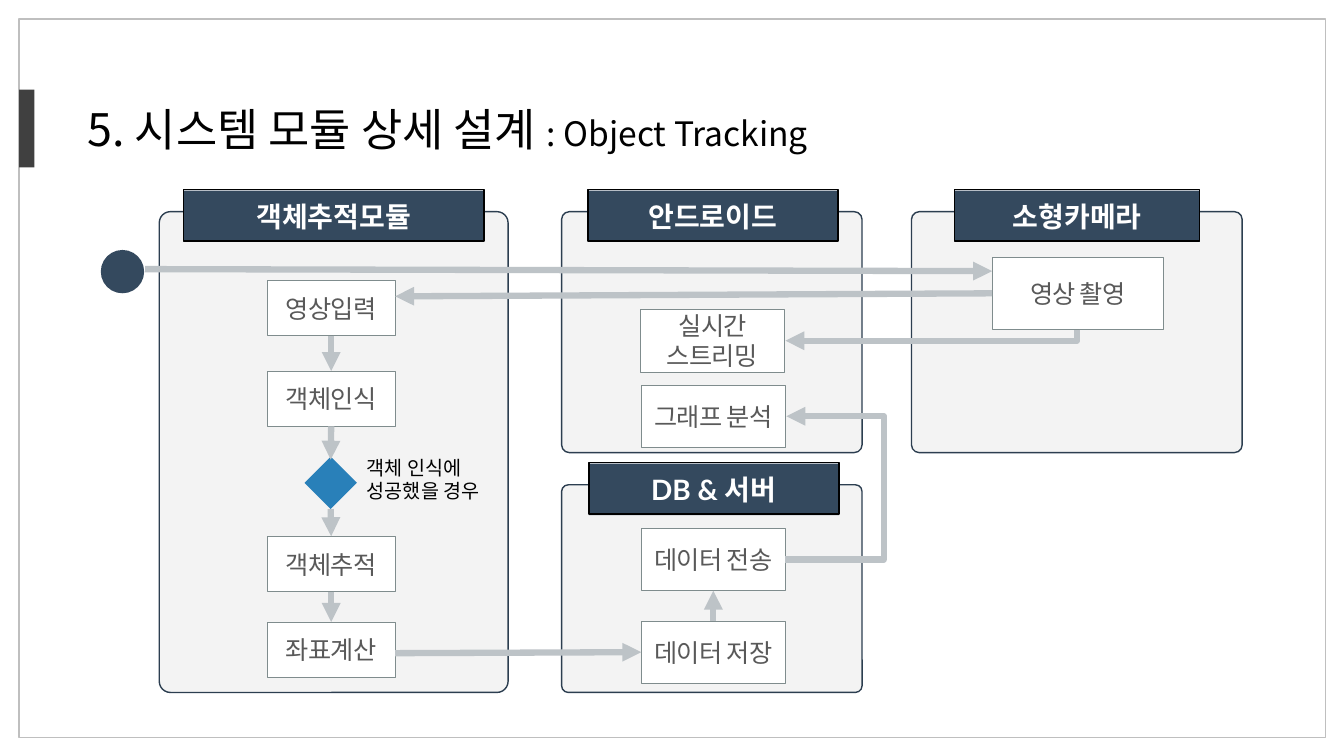
from lxml import etree
from pptx import Presentation
from pptx import util as u
from pptx.dml.color import RGBColor
from pptx.enum import shapes, text
from pptx.oxml.ns import qn

PX = 9144
SANS, LATO = "Noto Sans CJK KR", "Lato"
WHITE = RGBColor(0xFF, 0xFF, 0xFF)
BLACK = RGBColor(0x00, 0x00, 0x00)
FRAME = RGBColor(0xBF, 0xBF, 0xBF)
ACCENT = RGBColor(0x40, 0x40, 0x40)
PANEL = RGBColor(0xD9, 0xD9, 0xD9)
PANEL_LINE = RGBColor(0x2C, 0x3E, 0x50)
NAVY = RGBColor(0x34, 0x49, 0x5E)
BLUE = RGBColor(0x29, 0x80, 0xB9)
ARROW = RGBColor(0xBD, 0xC3, 0xC7)
BOX_LINE = RGBColor(0x7F, 0x8C, 0x8D)
BOX_TEXT = RGBColor(0x59, 0x59, 0x59)
SHAPE = shapes.MSO_SHAPE
LINE = shapes.MSO_CONNECTOR


def px(*values):
    return [u.Emu(v * PX) for v in values]


def add_run(p, words, size, color, font=SANS, bold=False, spacing=0):
    r = p.add_run()
    r.text = words
    r.font.size, r.font.name, r.font.bold = u.Pt(size), font, bold
    r.font.color.rgb = color
    rPr = r._r.get_or_add_rPr()
    etree.SubElement(rPr, qn("a:ea")).set("typeface", SANS)
    if spacing:
        rPr.set("spc", str(spacing))


def add_shape(parent, kind, at, fill=None, line=None, weight=1):
    sp = parent.add_shape(kind, *px(*at))
    sp.shadow.inherit = False
    if fill is None:
        sp.fill.background()
    else:
        sp.fill.solid()
        sp.fill.fore_color.rgb = fill
    if line is None:
        sp.line.fill.background()
    else:
        sp.line.color.rgb = line
        sp.line.width = u.Pt(weight)
    return sp


def center_text(sp):
    tf = sp.text_frame
    tf.word_wrap = True
    tf.vertical_anchor = text.MSO_ANCHOR.MIDDLE
    tf.margin_left = tf.margin_right = tf.margin_top = tf.margin_bottom = px(4)[0]
    p = tf.paragraphs[0]
    p.alignment = text.PP_ALIGN.CENTER
    return p


def add_panel(s, at):
    sp = add_shape(s.shapes, SHAPE.ROUNDED_RECTANGLE, at, PANEL, PANEL_LINE)
    sp.adjustments[0] = 0.032
    color = sp.fill._xPr.find(qn("a:solidFill"))[0]
    etree.SubElement(color, qn("a:alpha")).set("val", "30000")


def add_header(s, x, y, w, words):
    group = s.shapes.add_group_shape().shapes
    sp = add_shape(group, SHAPE.RECTANGLE, (x, y + 1, w, 51), NAVY)
    add_run(center_text(sp), words, 20, WHITE, LATO, True)
    add_shape(group, SHAPE.RECTANGLE, (x, y, w, 51), line=BLACK)


def add_box(s, at, words):
    sp = add_shape(s.shapes, SHAPE.RECTANGLE, at, WHITE, BOX_LINE, 0.5)
    add_run(center_text(sp), words, 18, BOX_TEXT, spacing=-50)
    return sp


def add_arrow(s, start, end, begin=None, finish=None, kind=LINE.STRAIGHT):
    c = s.shapes.add_connector(kind, *px(*start, *end))
    c.line.color.rgb = ARROW
    c.line.width = u.Pt(4.5)
    c.line._get_or_add_ln().append(
        etree.Element(qn("a:tailEnd"), type="triangle"))
    etree.SubElement(c._element.spPr, qn("a:effectLst"))
    if begin:
        c.begin_connect(*begin)
    if finish:
        c.end_connect(*finish)
    return c


def add_turn_arrow(s, start, end):
    dx, dy = start[0] - end[0], end[1] - start[1]
    x = (start[0] + end[0] - dy) // 2
    y = (start[1] + end[1] - dx) // 2
    c = add_arrow(s, (x, y), (x + dy, y + dx), kind=LINE.ELBOW)
    spPr = c._element.spPr
    spPr.find(qn("a:xfrm")).set("rot", "5400000")
    spPr.find(qn("a:prstGeom")).set("prst", "bentConnector2")


def add_detour_arrow(s, start, end, via_x):
    c = add_arrow(s, start, end, kind=LINE.ELBOW)
    guides = c._element.spPr.find(qn("a:prstGeom")).find(qn("a:avLst"))
    ratio = (via_x - start[0]) / (end[0] - start[0])
    etree.SubElement(guides, qn("a:gd"), name="adj1",
                     fmla=f"val {round(ratio * 100000)}")


def add_textbox(s, at, lines):
    tf = s.shapes.add_textbox(*px(*at)).text_frame
    tf.word_wrap = True
    for i, runs in enumerate(lines):
        p = tf.add_paragraph() if i else tf.paragraphs[0]
        for words, size in runs:
            add_run(p, words, size, BLACK)


def main():
    prs = Presentation()
    prs.slide_width, prs.slide_height = px(1333, 750)
    s = prs.slides.add_slide(prs.slide_layouts[6])

    add_shape(s.shapes, SHAPE.RECTANGLE, (19, 19, 1296, 713), line=FRAME)
    add_shape(s.shapes, SHAPE.RECTANGLE, (19, 89, 15, 77), ACCENT)
    add_textbox(s, (77, 96, 1064, 64), [[
        ("5. 시스템 모듈 상세 설계 ", 32), (": Object Tracking", 24)]])

    for at in [(557, 481, 298, 206), (557, 210, 298, 239),
               (904, 210, 328, 239), (158, 210, 346, 477)]:
        add_panel(s, at)
    for x, y, w, words in [
            (583, 188, 248, "안드로이드"), (947, 188, 243, "소형카메라"),
            (182, 188, 298, "객체추적모듈"), (584, 459, 248, "DB & 서버")]:
        add_header(s, x, y, w, words)

    add_shape(s.shapes, SHAPE.OVAL, (100, 248, 43, 43), NAVY)
    capture = add_box(s, (984, 255, 170, 72), "영상 촬영")
    add_box(s, (635, 307, 143, 62), "실시간 스트리밍")
    add_box(s, (636, 382, 143, 62), "그래프 분석")
    send = add_box(s, (636, 524, 143, 62), "데이터 전송")
    store = add_box(s, (636, 616, 143, 62), "데이터 저장")
    video, detect, track, locate = [
        add_box(s, (265, y, 127, 55), words) for y, words in
        [(278, "영상입력"), (368, "객체인식"), (532, "객체추적"), (617, "좌표계산")]]
    add_shape(s.shapes, SHAPE.FLOWCHART_DECISION, (302, 453, 52, 52), BLUE)
    add_textbox(s, (354, 447, 158, 57),
                [[("객체 인식에", 14)], [("성공했을 경우", 14)]])

    add_arrow(s, (144, 267), (984, 269))
    add_arrow(s, (984, 291), (392, 294), begin=(capture, 1))
    add_arrow(s, (392, 648), (636, 647), finish=(store, 1))
    add_arrow(s, (328, 333), (328, 368), (video, 2), (detect, 0))
    add_arrow(s, (328, 423), (328, 456), begin=(detect, 2))
    add_arrow(s, (328, 505), (328, 532), finish=(track, 0))
    add_arrow(s, (328, 587), (328, 617), (track, 2), (locate, 0))
    add_arrow(s, (707, 616), (707, 586), (store, 0), (send, 2))
    add_turn_arrow(s, (1068, 327), (779, 338))
    add_detour_arrow(s, (779, 555), (780, 413), 878)

    prs.save("out.pptx")


if __name__ == "__main__":
    main()
